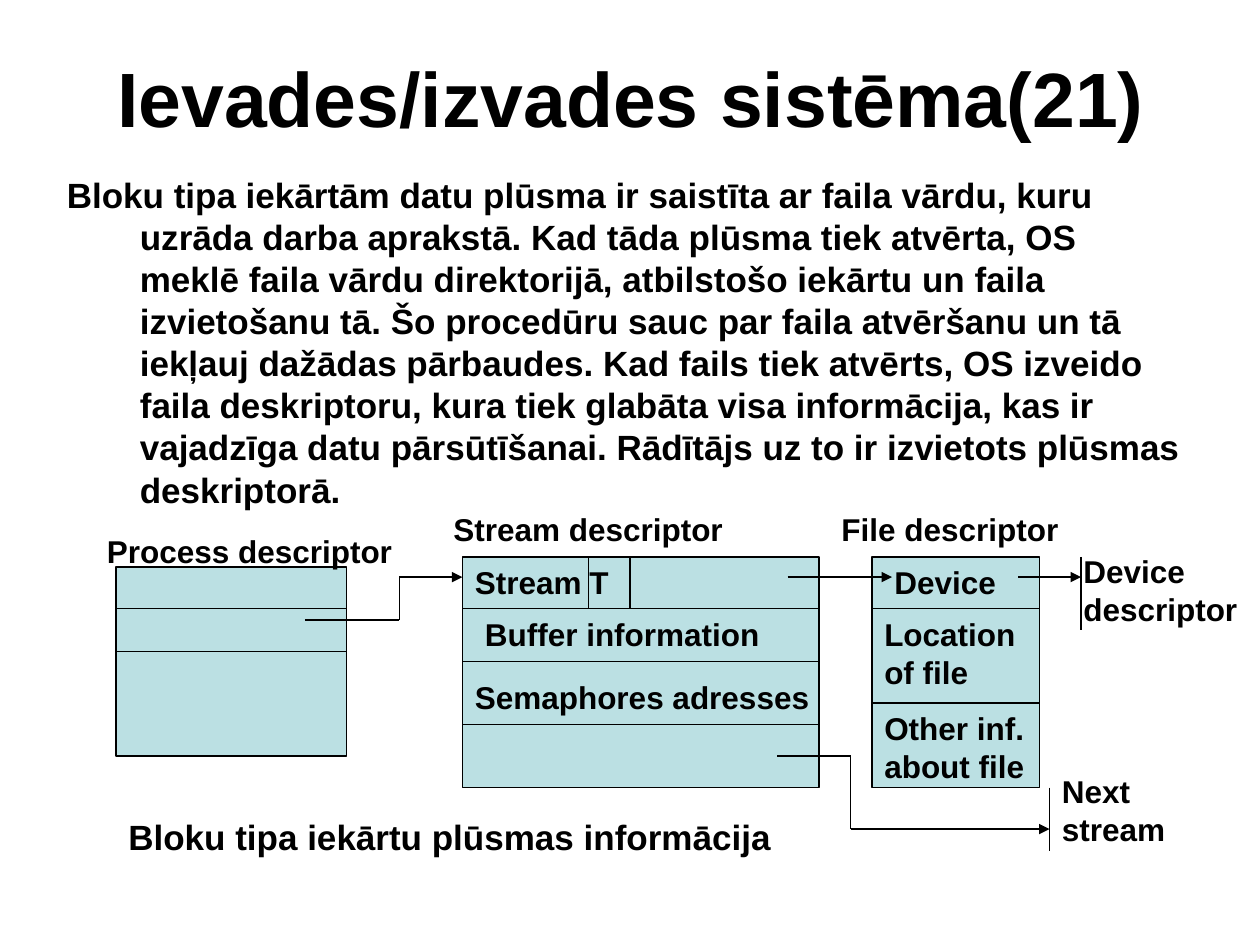
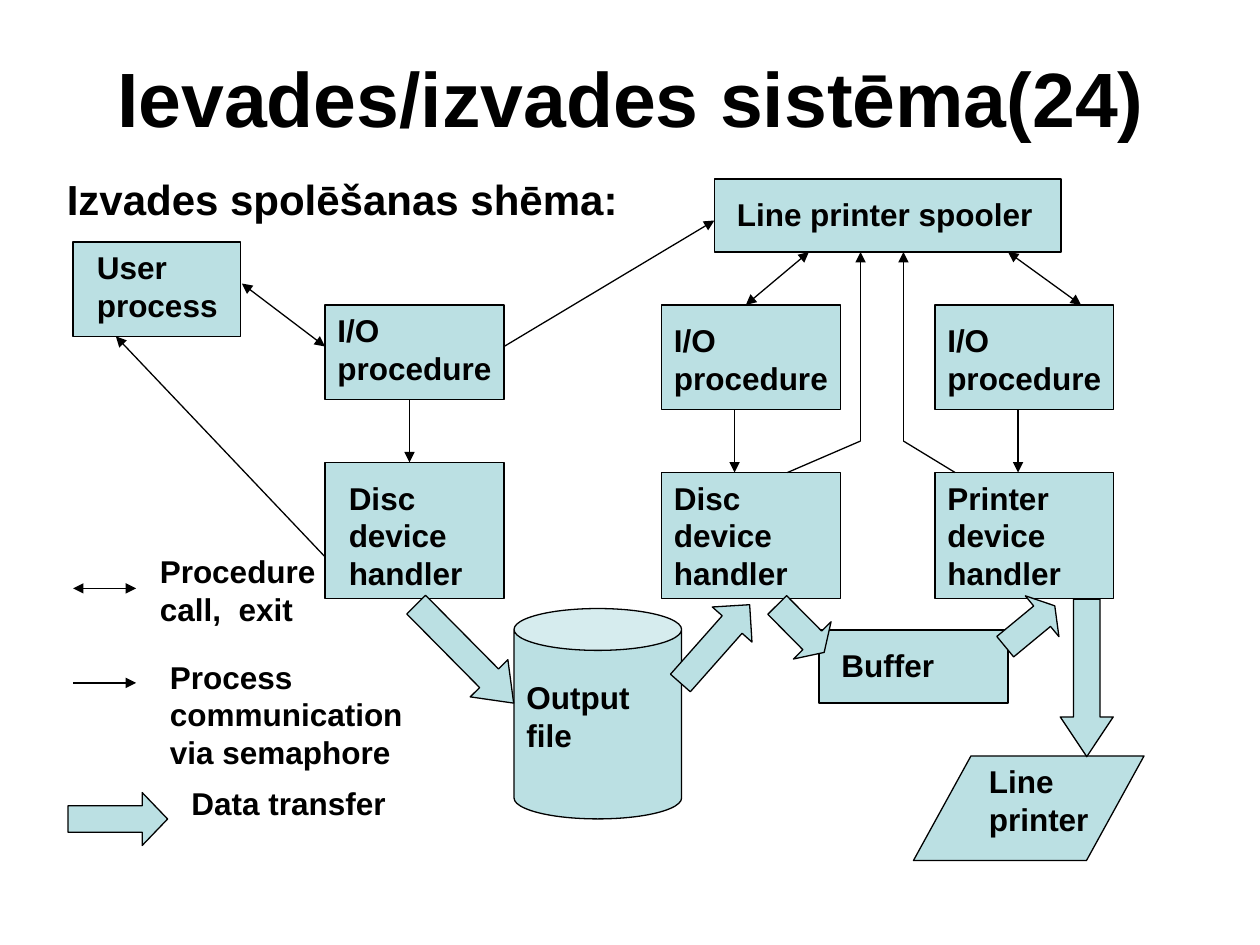
from pptx import Presentation
from pptx.dml.color import RGBColor
from pptx.enum.shapes import MSO_CONNECTOR, MSO_SHAPE as Preset
from pptx.enum.text import MSO_ANCHOR, MSO_AUTO_SIZE, PP_ALIGN
from pptx.oxml.ns import qn
from pptx.util import Inches, Pt
from lxml.etree import SubElement

COLORS = {"ink": "000000", "block": "BBE0E3"}
FONT = "Arial"
INK = RGBColor.from_string(COLORS["ink"])
BLOCK = RGBColor.from_string(COLORS["block"])


def add_block(slide, preset, left, top, width, height, adjust=(), turn=0):
    block = slide.shapes.add_shape(
        preset, Inches(left), Inches(top), Inches(width), Inches(height))
    for index, value in enumerate(adjust):
        block.adjustments[index] = value
    block.rotation = turn
    block.shadow.inherit = False
    block.fill.solid()
    block.fill.fore_color.rgb = BLOCK
    block.line.color.rgb = INK
    block.line.width = Pt(0.75)


def add_route(slide, points, ends=""):
    """Draw straight segments through points; ends is "", "tail" or "both"."""
    segments = list(zip(points, points[1:]))
    for number, (start, stop) in enumerate(segments, 1):
        segment = slide.shapes.add_connector(
            MSO_CONNECTOR.STRAIGHT, *map(Inches, start + stop))
        segment.line.color.rgb = INK
        segment.line.width = Pt(0.75)
        outline = segment.line._get_or_add_ln()
        if ends == "both":
            SubElement(outline, qn("a:headEnd"), type="triangle")
        if ends and number == len(segments):
            SubElement(outline, qn("a:tailEnd"), type="triangle")
        SubElement(segment._element.spPr, qn("a:effectLst"))


deck = Presentation()
deck.slide_width, deck.slide_height = Inches(10), Inches(7.5)

# Shared title and body areas
layout = deck.slide_layouts[1]
areas = [(0.51, 0.28, 9, 0.97), (0.43, 1.33, 9.06, 5.41)]
for holder, area in zip(layout.placeholders, areas):
    holder.left, holder.top, holder.width, holder.height = map(Inches, area)

# Titles and body text
pages = [
    ("Ievades/izvades sistēma(21)", 20,
     "Bloku tipa iekārtām datu plūsma ir saistīta ar faila vārdu, kuru uzrāda "
     "darba aprakstā. Kad tāda plūsma tiek atvērta, OS meklē faila vārdu "
     "direktorijā, atbilstošo iekārtu un faila izvietošanu tā. Šo procedūru "
     "sauc par faila atvēršanu un tā iekļauj dažādas pārbaudes. Kad fails tiek "
     "atvērts, OS izveido faila deskriptoru, kura tiek glabāta visa "
     "informācija, kas ir vajadzīga datu pārsūtīšanai. Rādītājs uz to ir "
     "izvietots plūsmas deskriptorā."),
    ("Ievades/izvades sistēma(24)", 24, "Izvades spolēšanas shēma:"),
]
for heading, body_size, body in pages:
    slide = deck.slides.add_slide(layout)
    for holder, text, size in zip(slide.placeholders, (heading, body), (44, body_size)):
        frame = holder.text_frame
        frame.text = text
        frame.auto_size = MSO_AUTO_SIZE.NONE
        paragraph = frame.paragraphs[0]
        if text == heading:
            frame.vertical_anchor = MSO_ANCHOR.MIDDLE
            paragraph.alignment = PP_ALIGN.CENTER
        else:
            hanging = paragraph._p.get_or_add_pPr()
            hanging.set("marL", str(Inches(0.58)))
            hanging.set("indent", str(-Inches(0.58)))
            SubElement(hanging, qn("a:buNone"))
        paragraph.space_before = Pt(0)
        paragraph.font.name = FONT
        paragraph.font.size = Pt(size)
        paragraph.font.bold = True
        paragraph.font.color.rgb = INK
streams, spooling = deck.slides

# Descriptors: left, top, width, height and the heights of their row rules
descriptors = [
    (0.92, 4.5, 1.83, 1.5, [4.83, 5.17]),
    (3.67, 4.42, 2.83, 1.83, [4.83, 5.25, 5.75]),
    (6.92, 4.42, 1.33, 1.83, [4.83, 5.58]),
]
for left, top, width, height, rules in descriptors:
    add_block(streams, Preset.RECTANGLE, left, top, width, height)
    for rule in rules:
        add_route(streams, [(left, rule), (left + width, rule)])

# Cell dividers in the stream row, then edges of the device and next stream
for x, top, bottom in [(4.67, 4.42, 4.83), (5, 4.42, 4.83),
                       (8.58, 4.42, 5), (8.33, 6.25, 6.75)]:
    add_route(streams, [(x, top), (x, bottom)])

# Pointers between descriptors
for pointer in [
    [(2.42, 4.92), (3.17, 4.92), (3.17, 4.58), (3.67, 4.58)],
    [(6.25, 4.58), (7.08, 4.58)],
    [(8.08, 4.58), (8.58, 4.58)],
    [(6.17, 6), (6.75, 6), (6.75, 6.58), (8.33, 6.58)],
]:
    add_route(streams, pointer, "tail")

# Spooling: processes, procedures, handlers and buffer
for area in [
    (0.58, 1.92, 1.33, 0.75), (5.67, 1.42, 2.75, 0.58),
    (2.58, 2.42, 1.42, 0.75), (2.58, 3.67, 1.42, 1.08),
    (6.5, 5, 1.5, 0.58),
]:
    add_block(spooling, Preset.RECTANGLE, *area)
for left in (5.25, 7.42):
    add_block(spooling, Preset.RECTANGLE, left, 2.42, 1.42, 0.83)
    add_block(spooling, Preset.RECTANGLE, left, 3.75, 1.42, 1)
add_block(spooling, Preset.CAN, 4.08, 4.83, 1.33, 1.67, [0.25])
add_block(spooling, Preset.PARALLELOGRAM, 7.25, 6, 1.83, 0.83, [0.55])

# Data transfer arrows: left, top, length, head ratio, rotation
for left, top, length, head, turn in [
    (3.14, 4.98, 1.1, 0.66, 45.3),
    (5.26, 4.9, 0.83, 0.5, 311.5),
    (6.09, 4.78, 0.53, 0.32, 45.3),
    (7.92, 4.76, 0.51, 0.31, 320.5),
    (8, 5.17, 1.25, 0.75, 90),
    (0.54, 6.29, 0.79, 0.48, 0),
]:
    add_block(spooling, Preset.RIGHT_ARROW, left, top, length, 0.42, [0.5, head], turn)

# Procedure calls and exits
for call in [
    [(1.92, 2.25), (2.58, 2.75)],
    [(6.42, 2), (5.92, 2.42)],
    [(8, 2), (8.58, 2.42)],
    [(0.58, 4.67), (1.08, 4.67)],
]:
    add_route(spooling, call, "both")

# Communication via semaphores
for signal in [
    [(2.58, 4.42), (0.92, 2.67)],
    [(4, 2.75), (5.67, 1.75)],
    [(5.83, 3.25), (5.83, 3.75)],
    [(8.08, 3.25), (8.08, 3.75)],
    [(3.25, 3.17), (3.25, 3.67)],
    [(6.25, 3.75), (6.83, 3.5), (6.83, 2)],
    [(7.58, 3.75), (7.17, 3.5), (7.17, 2)],
    [(0.58, 5.42), (1.08, 5.42)],
]:
    add_route(spooling, signal, "tail")

# Labels: text, left, top, width, number of lines
stream_labels = [
    ("Process descriptor", 0.75, 4.17, 2.67, 1),
    ("Stream descriptor", 3.5, 4, 3.17, 1),
    ("File descriptor", 6.58, 4, 2.42, 1),
    ("Stream", 3.67, 4.42, 1.17, 1),
    ("T", 4.58, 4.42, 0.42, 1),
    ("Buffer information", 3.75, 4.83, 2.75, 1),
    ("Semaphores adresses", 3.67, 5.33, 2.92, 1),
    ("Device", 7, 4.42, 1.17, 1),
    ("Location of file", 6.92, 4.83, 1.33, 2),
    ("Other inf. about file", 6.92, 5.58, 1.5, 2),
    ("Device descriptor", 8.5, 4.33, 1.5, 2),
    ("Next stream", 8.33, 6.08, 1.42, 2),
    ("Bloku tipa iekārtu plūsmas informācija", 0.92, 6.42, 8.25, 1),
]
spooling_labels = [
    ("User process", 0.67, 1.92, 1.25, 2),
    ("Line printer spooler", 5.75, 1.5, 2.67, 1),
    ("I/O procedure", 2.58, 2.42, 1.58, 2),
    ("I/O procedure", 5.25, 2.5, 1.58, 2),
    ("I/O procedure", 7.42, 2.5, 1.5, 2),
    ("Disc device handler", 2.67, 3.75, 1.33, 3),
    ("Disc device handler", 5.25, 3.75, 1.42, 3),
    ("Printer device handler", 7.42, 3.75, 1.42, 3),
    ("Output file", 4.08, 5.33, 1.17, 2),
    ("Buffer", 6.58, 5.08, 1.33, 1),
    ("Line printer", 7.75, 6, 1, 2),
    ("Procedure call,  exit", 1.17, 4.33, 1.5, 2),
    ("Process communication via semaphore", 1.25, 5.17, 2.08, 3),
    ("Data transfer", 1.42, 6.17, 1.75, 1),
]
for slide, labels in [(streams, stream_labels), (spooling, spooling_labels)]:
    for text, left, top, width, lines in labels:
        label = slide.shapes.add_textbox(
            Inches(left), Inches(top), Inches(width), Inches(0.1 + 0.3 * lines))
        label.text_frame.word_wrap = True
        label.text_frame.text = text
        font = label.text_frame.paragraphs[0].font
        font.name = FONT
        font.size = Pt(20 if text.startswith("Bloku") else 18)
        font.bold = True
        font.color.rgb = INK

deck.save("out.pptx")
